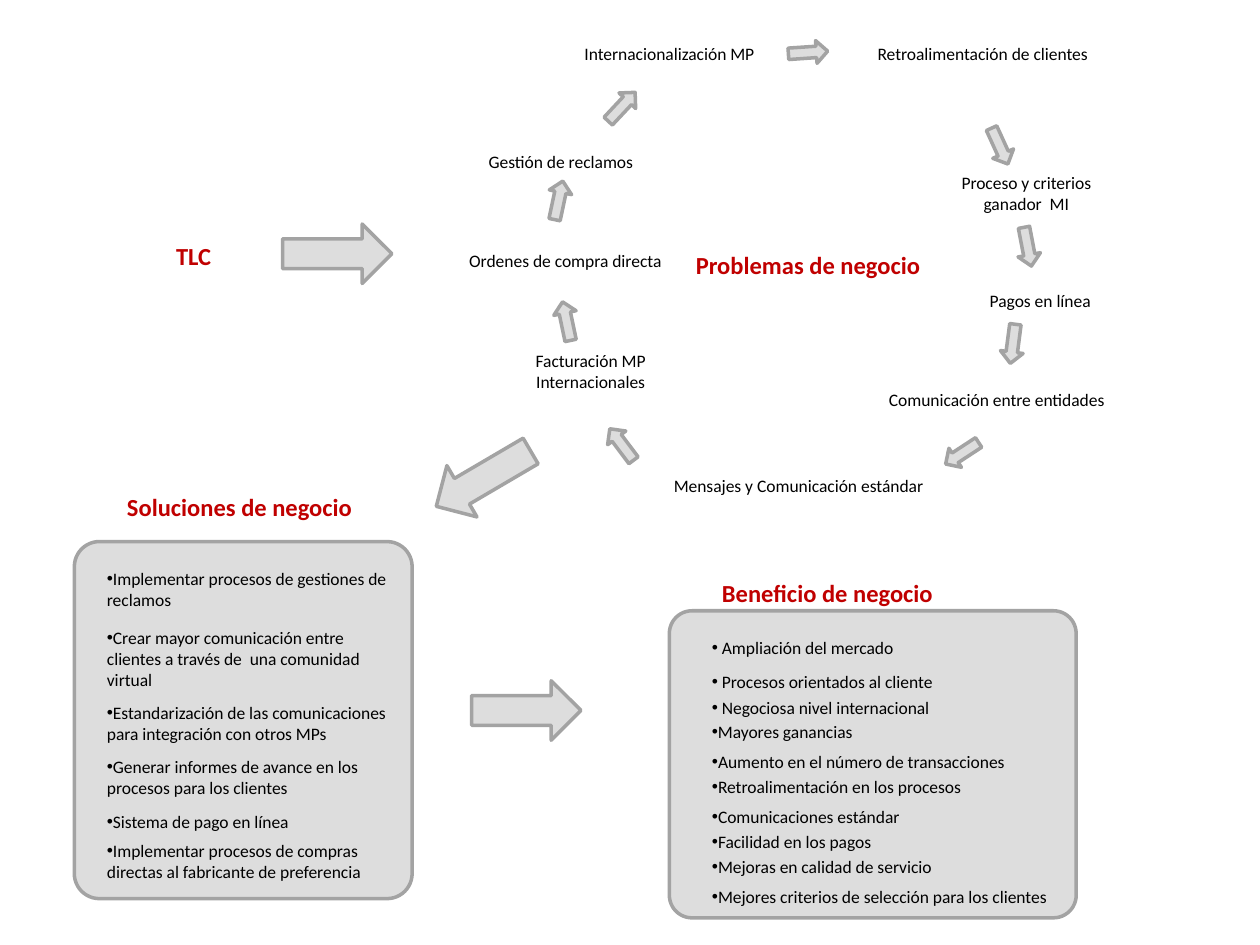
import pptx
import pptx.util
import pptx.dml.color
import pptx.enum.shapes
import pptx.enum.text
import pptx.oxml.ns
import lxml.etree

Pt = pptx.util.Pt
SHAPES = pptx.enum.shapes.MSO_SHAPE
ALIGN = pptx.enum.text.PP_ALIGN
RED = pptx.dml.color.RGBColor(0xC0, 0x00, 0x00)
BLACK = pptx.dml.color.RGBColor(0x00, 0x00, 0x00)
LIGHT_GRAY = pptx.dml.color.RGBColor(0xDD, 0xDD, 0xDD)
MID_GRAY = pptx.dml.color.RGBColor(0xA3, 0xA3, 0xA3)

PANELS = [(42.5, 309.5, 193, 204), (382.5, 349, 232.5, 175.5)]

HEADINGS = [
    ("TLC", 93.5, 134, 34.5, ALIGN.LEFT, False),
    ("Problemas de negocio", 388, 139.5, 147.5, ALIGN.CENTER, True),
    ("Soluciones de negocio", 65.5, 277.5, 144, ALIGN.LEFT, False),
    ("Beneficio de negocio", 405.5, 327, 136, ALIGN.LEFT, False),
]

PROBLEMS = [
    ("Internacionalización MP", 314.5, 21, 136, 19.5, ALIGN.CENTER),
    ("Retroalimentación de clientes", 490.5, 21, 142, 19.5, ALIGN.CENTER),
    ("Proceso y criterios ganador  MI", 535.5, 94.5, 102, 31.5, ALIGN.CENTER),
    ("Pagos en línea", 558.5, 162, 96.5, 19.5, ALIGN.LEFT),
    ("Comunicación entre entidades", 484.5, 219, 170, 19.5, ALIGN.CENTER),
    ("Mensajes y Comunicación estándar", 377, 268, 158.5, 19.5, ALIGN.CENTER),
    ("Facturación MP Internacionales", 269.5, 196.5, 136, 31.5, ALIGN.CENTER),
    ("Ordenes de compra directa", 252, 139.5, 142, 19.5, ALIGN.CENTER),
    ("Gestión de reclamos", 269.5, 83, 102, 19.5, ALIGN.CENTER),
]

SOLUTIONS_LEFT = 54
SOLUTIONS = [
    ("Implementar procesos de gestiones de reclamos", 321, 181.5, 31.5),
    ("Crear mayor comunicación entre clientes a través de  una comunidad virtual", 355, 181.5, 44),
    ("Estandarización de las comunicaciones para integración con otros MPs", 397.5, 193, 31.5),
    ("Generar informes de avance en los procesos para los clientes", 428.5, 193, 31.5),
    ("Sistema de pago en línea", 460, 175.5, 19.5),
    ("Implementar procesos de compras directas al fabricante de preferencia", 476.5, 181.5, 31.5),
]

BENEFITS_LEFT = 399.75
BENEFITS = [
    (" Ampliación del mercado", 360.5, 170, 19.5),
    (" Procesos orientados al cliente", 380, 204, 19.5),
    (" Negociosa nivel internacional", 394.5, 204, 19.5),
    ("Mayores ganancias", 408.5, 113, 19.5),
    ("Aumento en el número de transacciones", 425.5, 209, 19.5),
    ("Retroalimentación en los procesos", 440, 209, 19.5),
    ("Comunicaciones estándar", 457, 209, 19.5),
    ("Facilidad en los pagos", 471.5, 209, 19.5),
    ("Mejoras en calidad de servicio", 485.5, 209, 19.5),
    ("Mejores criterios de selección para los clientes", 502.5, 209, 19.5),
]

STAGE_ARROW_SIZE = (62.5, 34)
STAGE_ARROWS = [(161.5, 128, 0), (245, 256.5, 149.6), (269.5, 389, 0)]

CYCLE_ARROW_SIZE = (22.5, 13)
CYCLE_ARROWS = [
    (450.5, 23.5, 356.1), (560, 77, 65.5), (576, 134.5, 79.1),
    (567.5, 190, 97.4), (538.5, 252.5, 146.8), (344, 247.5, 233),
    (312.5, 177, 258.2), (308, 108, 282), (344, 54.5, 313.1),
]

deck = pptx.Presentation()
deck.slide_width, deck.slide_height = Pt(720), Pt(540)
page = deck.slides.add_slide(deck.slide_layouts[6])


def add_gray_shape(kind, left, top, width, height):
    shape = page.shapes.add_shape(kind, Pt(left), Pt(top), Pt(width), Pt(height))
    shape.shadow.inherit = False
    shape.fill.solid()
    shape.fill.fore_color.rgb = LIGHT_GRAY
    shape.line.color.rgb = MID_GRAY
    shape.line.width = Pt(2)
    return shape


def add_text(text, left, top, width, height, size=10, color=BLACK, bold=False,
             align=ALIGN.LEFT, wrap=True):
    box = page.shapes.add_textbox(Pt(left), Pt(top), Pt(width), Pt(height))
    box.text_frame.word_wrap = wrap
    box.text_frame.auto_size = pptx.enum.text.MSO_AUTO_SIZE.SHAPE_TO_FIT_TEXT
    para = box.text_frame.paragraphs[0]
    para.text = text
    para.alignment = align
    para.font.name = "Calibri"
    para.font.size = Pt(size)
    para.font.bold = bold
    para.font.color.rgb = color
    return para


def add_bullets(items, left):
    for text, top, width, height in items:
        para = add_text(text, left, top, width, height)
        properties = para._p.get_or_add_pPr()
        qn = pptx.oxml.ns.qn
        font = lxml.etree.Element(qn("a:buFont"), typeface="Arial")
        bullet = lxml.etree.Element(qn("a:buChar"), char="•")
        properties.insert(0, font)
        font.addnext(bullet)


def add_arrows(arrows, size):
    for left, top, angle in arrows:
        add_gray_shape(SHAPES.RIGHT_ARROW, left, top, *size).rotation = angle


for frame in PANELS:
    add_gray_shape(SHAPES.ROUNDED_RECTANGLE, *frame).adjustments[0] = 0.074

for text, left, top, width, align, wrap in HEADINGS:
    add_text(text, left, top, width, 24.5, 14, RED, True, align, wrap)

for text, left, top, width, height, align in PROBLEMS:
    add_text(text, left, top, width, height, align=align)

add_bullets(SOLUTIONS, SOLUTIONS_LEFT)
add_bullets(BENEFITS, BENEFITS_LEFT)
add_arrows(STAGE_ARROWS, STAGE_ARROW_SIZE)
add_arrows(CYCLE_ARROWS, CYCLE_ARROW_SIZE)

deck.save("out.pptx")
